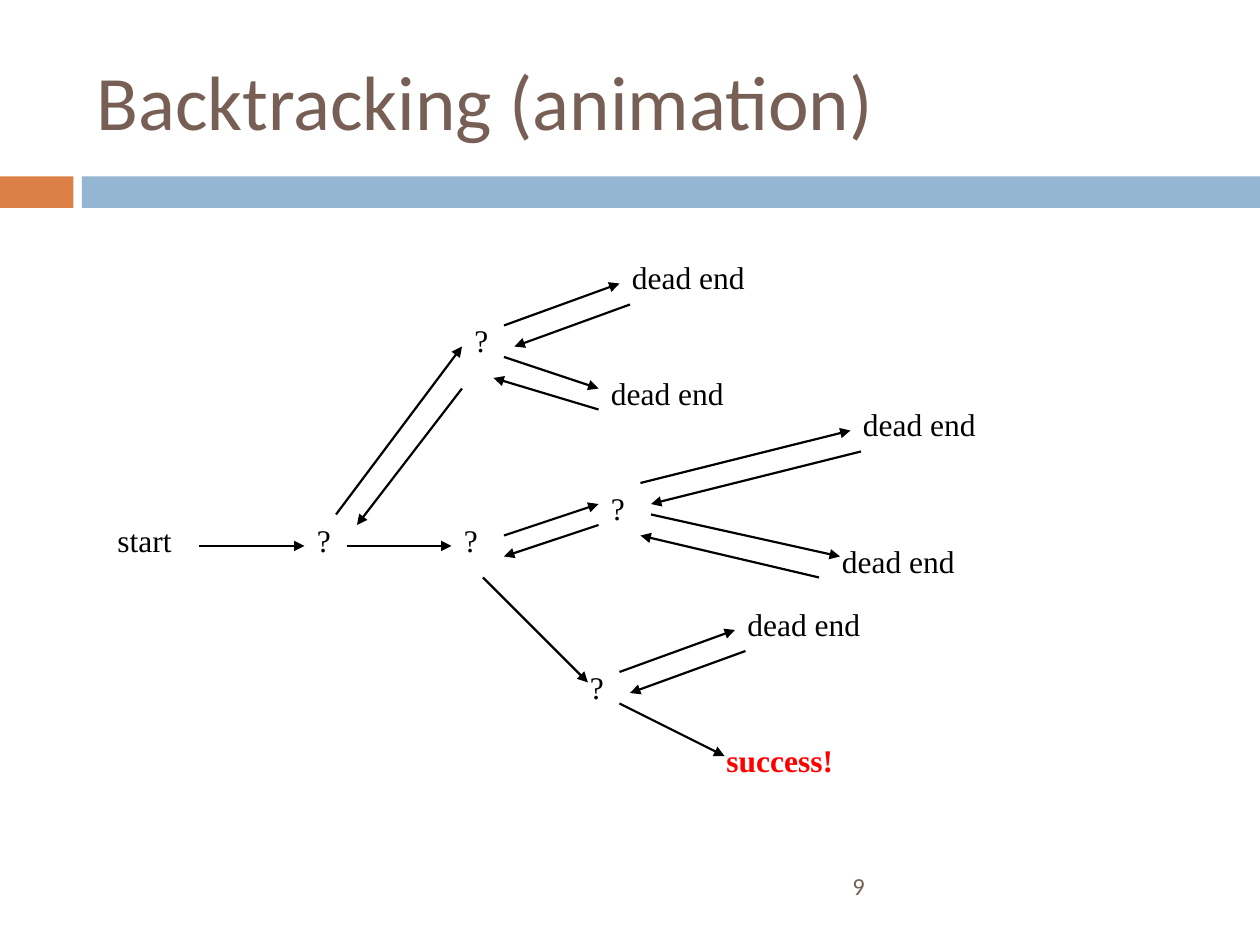
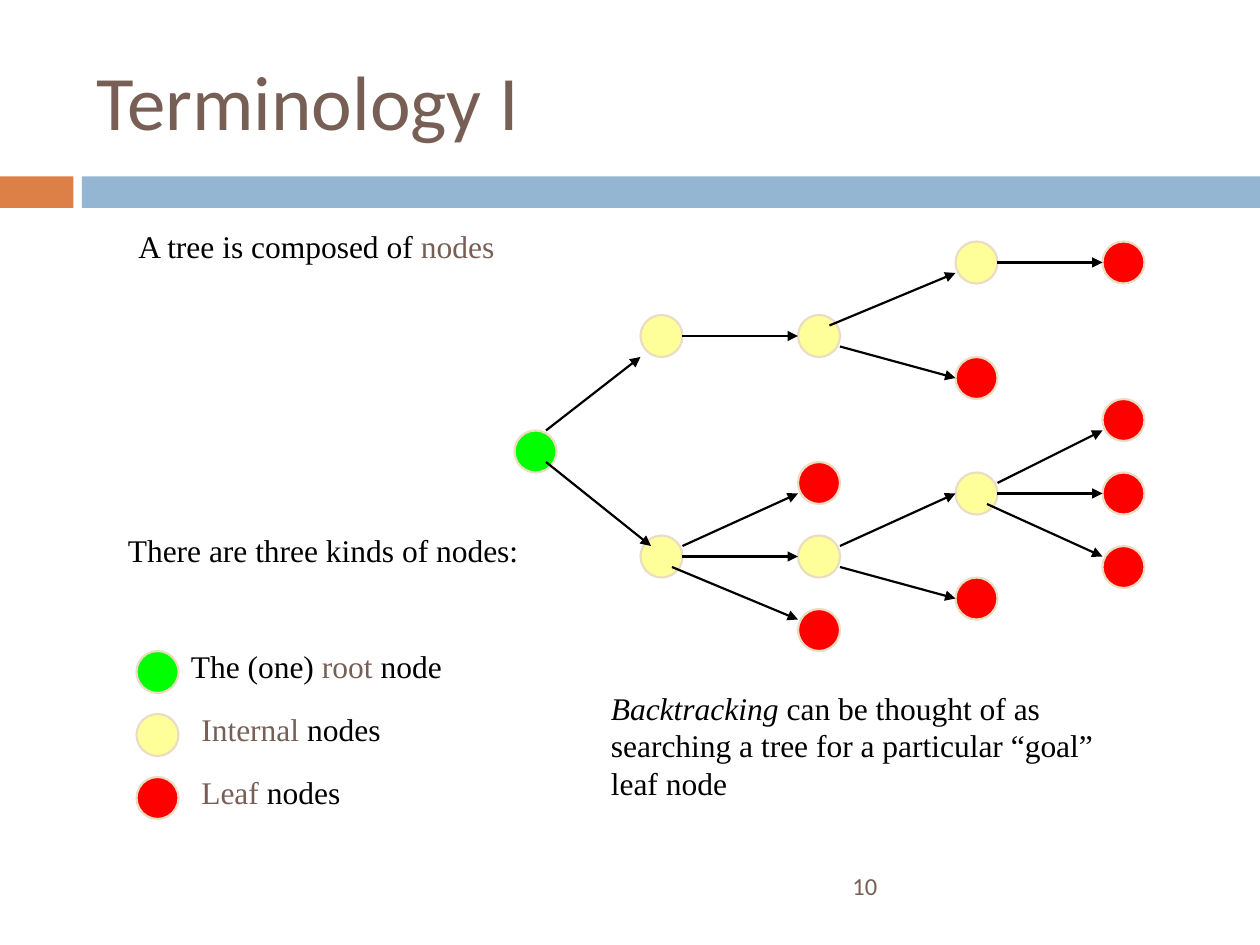
from dataclasses import dataclass

from lxml.etree import SubElement
from pptx import Presentation
from pptx.dml.color import RGBColor
from pptx.enum.shapes import MSO_CONNECTOR, MSO_SHAPE
from pptx.enum.text import MSO_ANCHOR, MSO_AUTO_SIZE, PP_ALIGN
from pptx.oxml.ns import qn
from pptx.util import Inches, Pt

UNIT = Inches(1) / 12  # the slide is a grid of 120 columns and 90 rows
COLUMNS, ROWS = 120, 90
BROWN, ORANGE, BLUE = "775F55", "DD8047", "94B6D2"
BLACK, SAND = "000000", "EBDDC3"
ROOT, INTERNAL, LEAF = "00FF00", "FFFF99", "FF0000"
TITLE_FONT, TEXT_FONT = "Calibri", "Times New Roman"
NODE_SIZE = 4
LABEL_HEIGHT = 6


@dataclass
class Run:
    text: str
    color: str = BLACK
    bold: bool = False
    italic: bool = False


@dataclass
class Region:
    """A part of a slide whose contents are placed from its left top corner."""
    slide: object
    column: float = 0
    row: float = 0

    def point(self, column, row):
        return round((self.column + column) * UNIT), round((self.row + row) * UNIT)

    def box(self, column, row, width, height):
        return *self.point(column, row), round(width * UNIT), round(height * UNIT)


def rgb(color):
    return RGBColor.from_string(color)


def format_run(run, size, font, color):
    run.font.size, run.font.name = Pt(size), font
    run.font.color.rgb = rgb(color)


def add_text(region, box, runs, size=18, font=TEXT_FONT, anchor=MSO_ANCHOR.TOP):
    text_frame = region.slide.shapes.add_textbox(*region.box(*box)).text_frame
    text_frame.word_wrap = True
    text_frame.vertical_anchor = anchor
    for part in runs:
        run = text_frame.paragraphs[0].add_run()
        run.text = part.text
        format_run(run, size, font, part.color)
        run.font.bold, run.font.italic = part.bold, part.italic


def add_filled_shape(region, kind, box, color, outline=None):
    shape = region.slide.shapes.add_shape(kind, *region.box(*box))
    shape.shadow.inherit = False
    shape.fill.solid()
    shape.fill.fore_color.rgb = rgb(color)
    if outline:
        shape.line.color.rgb = rgb(outline)
        shape.line.width = Pt(1.25)
    else:
        shape.line.fill.background()


def add_node(region, column, row, color):
    box = (column, row, NODE_SIZE, NODE_SIZE)
    add_filled_shape(region, MSO_SHAPE.OVAL, box, color, SAND)


def add_arrows(region, arrows):
    for start, end in arrows:
        connector = region.slide.shapes.add_connector(
            MSO_CONNECTOR.STRAIGHT, *region.point(*start), *region.point(*end))
        connector.line.color.rgb = rgb(BLACK)
        connector.line.width = Pt(1.25)
        line = connector.line._get_or_add_ln()
        SubElement(line, qn("a:tailEnd"), type="triangle")
        SubElement(connector._element.spPr, qn("a:effectLst"))


def add_framed_slide(presentation, title_text, number):
    """Add a slide with the shared title, bands and page number."""
    slide = presentation.slides.add_slide(presentation.slide_layouts[5])
    page = Region(slide)
    for column, width, color in ((0, 7, ORANGE), (7.8, COLUMNS - 7.8, BLUE)):
        add_filled_shape(page, MSO_SHAPE.RECTANGLE, (column, 16.8, width, 3), color)

    title = slide.shapes.title
    title.left, title.top, title.width, title.height = page.box(8, 3, 107, 13)
    text_frame = title.text_frame
    text_frame.text = title_text
    text_frame.auto_size = MSO_AUTO_SIZE.NONE
    text_frame.vertical_anchor = MSO_ANCHOR.MIDDLE
    paragraph = text_frame.paragraphs[0]
    paragraph.alignment = PP_ALIGN.LEFT
    format_run(paragraph.runs[0], 44, TITLE_FONT, BROWN)

    add_text(page, (80, 82, 35, 4.8), [Run(str(number), BROWN)],
             size=14, font=TITLE_FONT, anchor=MSO_ANCHOR.MIDDLE)
    return slide


def draw_search_paths(region):
    add_text(region, (0, 25, 10, LABEL_HEIGHT), [Run("start")])
    for column, row in ((19, 25), (34, 6), (33, 25), (47, 22), (45, 39)):
        add_text(region, (column, row, 6, LABEL_HEIGHT), [Run("?")])
    for column, row in ((49, 0), (47, 11), (71, 14), (69, 27), (60, 33)):
        add_text(region, (column, row, 21, LABEL_HEIGHT), [Run("dead end")])
    add_text(region, (58, 46, 21, LABEL_HEIGHT), [Run("success!", LEAF, bold=True)])

    forward = [
        ((9, 28), (19, 28)), ((23, 28), (33, 28)), ((22, 25), (34, 9)),
        ((38, 7), (49, 3)), ((38, 10), (47, 13)), ((38, 27), (47, 24)),
        ((51, 22), (71, 17)), ((52, 25), (70, 29)), ((36, 31), (46, 41)),
        ((49, 40), (60, 36)), ((49, 43), (59, 48)),
    ]
    back = [
        ((50, 5), (39, 9)), ((47, 15), (37, 12)), ((34, 13), (24, 26)),
        ((72, 19), (52, 24)), ((68, 31), (51, 27)), ((47, 26), (38, 29)),
        ((61, 38), (50, 42)),
    ]
    add_arrows(region, forward + back)


def draw_tree(region):
    nodes = {
        ROOT: [(0, 18)],
        INTERNAL: [(12, 7), (12, 28), (27, 7), (27, 28), (42, 0), (42, 22)],
        LEAF: [(27, 21), (27, 35), (42, 11), (42, 32),
               (56, 0), (56, 15), (56, 22), (56, 29)],
    }
    for color, places in nodes.items():
        for column, row in places:
            add_node(region, column, row, color)

    add_arrows(region, [
        ((3, 21), (13, 29)), ((3, 18), (12, 11)),
        ((16, 9), (27, 9)), ((30, 8), (42, 3)),
        ((31, 10), (42, 13)), ((46, 2), (56, 2)),
        ((16, 29), (27, 24)), ((16, 30), (27, 30)), ((15, 31), (27, 36)),
        ((31, 29), (42, 24)), ((31, 31), (42, 34)),
        ((46, 23), (56, 18)), ((46, 24), (56, 24)), ((45, 25), (56, 30)),
    ])


def draw_legend(region):
    entries = [
        (ROOT, 4, [Run("The (one) "), Run("root", BROWN), Run(" node")]),
        (INTERNAL, 5, [Run("Internal", BROWN), Run(" nodes")]),
        (LEAF, 5, [Run("Leaf", BROWN), Run(" nodes")]),
    ]
    for index, (color, text_column, runs) in enumerate(entries):
        row = index * LABEL_HEIGHT
        add_node(region, 0, row + 1, color)
        add_text(region, (text_column, row, 36, LABEL_HEIGHT), runs)


def build_backtracking_slide(presentation):
    slide = add_framed_slide(presentation, "Backtracking (animation)", 9)
    draw_search_paths(Region(slide, 10, 24))


def build_terminology_slide(presentation):
    slide = add_framed_slide(presentation, "Terminology I", 10)
    draw_tree(Region(slide, 49, 23))
    draw_legend(Region(slide, 13, 61))
    page = Region(slide)
    add_text(page, (12, 21, 50, 13),
             [Run("A tree is composed of "), Run("nodes", BROWN)])
    add_text(page, (11, 50, 42, 11), [Run("There are three kinds of nodes:")])
    add_text(page, (57, 65, 53, 16), [
        Run("Backtracking", italic=True),
        Run(" can be thought of as searching a tree for a particular “goal” leaf node"),
    ])


def main():
    presentation = Presentation()
    presentation.slide_width = round(COLUMNS * UNIT)
    presentation.slide_height = round(ROWS * UNIT)
    build_backtracking_slide(presentation)
    build_terminology_slide(presentation)
    presentation.save("out.pptx")


if __name__ == "__main__":
    main()
